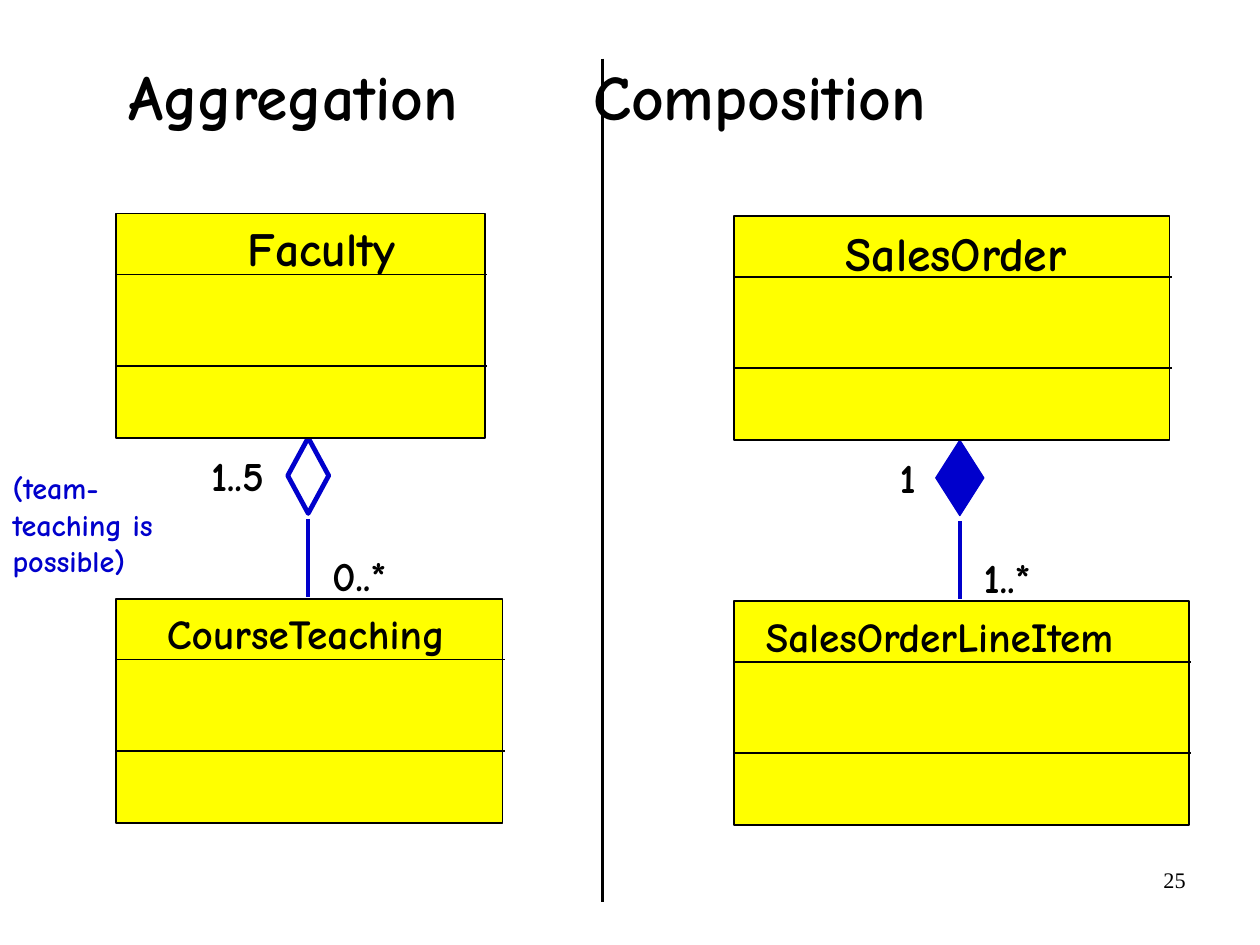
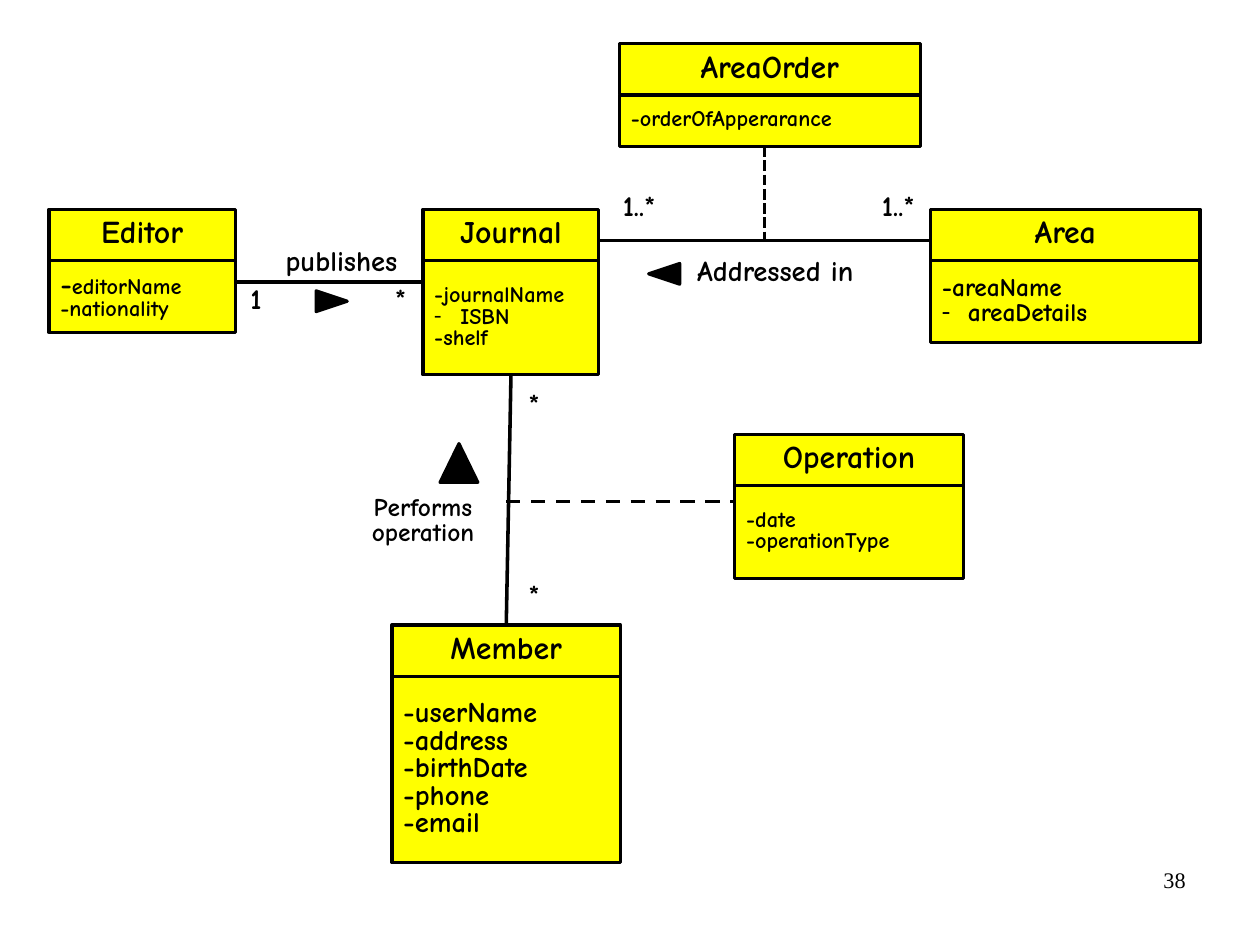
import lxml.etree
import pptx
import pptx.dml.color
import pptx.enum.dml
import pptx.enum.shapes
import pptx.enum.text
import pptx.oxml.ns
import pptx.util

Cm = pptx.util.Cm
Pt = pptx.util.Pt
ALIGN = pptx.enum.text.PP_ALIGN
ANCHOR = pptx.enum.text.MSO_ANCHOR
SHAPE = pptx.enum.shapes.MSO_SHAPE
DASH = pptx.enum.dml.MSO_LINE

BLACK, YELLOW, BLUE = "000000", "FFFF00", "0000CC"
HAND_FONT, NUMBER_FONT = "Comic Neue", "Times New Roman"
HEADER_HEIGHT = 1.14
BULLET_INDENT = 0.58


def color(hex_text):
    return pptx.dml.color.RGBColor.from_string(hex_text)


def add_xml(parent, tag, **attributes):
    return lxml.etree.SubElement(parent, pptx.oxml.ns.qn(tag), **attributes)


def add_dash_bullet(paragraph):
    properties = paragraph._p.get_or_add_pPr()
    properties.set("marL", str(Cm(BULLET_INDENT)))
    properties.set("indent", str(-Cm(BULLET_INDENT)))
    add_xml(properties, "a:buFont", typeface=NUMBER_FONT)
    add_xml(properties, "a:buChar", char="-")


def add_tab_stop(paragraph, position):
    tabs = add_xml(paragraph._p.get_or_add_pPr(), "a:tabLst")
    add_xml(tabs, "a:tab", pos=str(Cm(position)), algn="l")


def write(shape, lines, size, align=ALIGN.LEFT, anchor=ANCHOR.TOP, spacing=None,
          font=HAND_FONT, ink=BLACK, bold=True, tab=None):
    frame = shape.text_frame
    frame.word_wrap = True
    frame.vertical_anchor = anchor
    frame.margin_left = frame.margin_right = Cm(0.25)
    frame.margin_top = frame.margin_bottom = Cm(0.13)
    for index, line in enumerate(lines):
        paragraph = frame.add_paragraph() if index else frame.paragraphs[0]
        if line.startswith("- "):
            add_dash_bullet(paragraph)
        if tab:
            add_tab_stop(paragraph, tab)
        paragraph.text = line.removeprefix("- ")
        paragraph.alignment = align
        if spacing:
            paragraph.line_spacing = spacing
        paragraph.font.name = font
        paragraph.font.size = Pt(size)
        paragraph.font.bold = bold
        paragraph.font.color.rgb = color(ink)
    return frame


def add_text(slide, box, lines, size, **style):
    return write(slide.shapes.add_textbox(*map(Cm, box)), lines, size, **style)


def add_outline(slide, kind, box, fill, line, width, rotation=0):
    shape = slide.shapes.add_shape(kind, *map(Cm, box))
    shape.shadow.inherit = False
    shape.rotation = rotation
    if fill:
        shape.fill.solid()
        shape.fill.fore_color.rgb = color(fill)
    else:
        shape.fill.background()
    shape.line.color.rgb = color(line)
    shape.line.width = Pt(width)
    return shape


def add_line(slide, start, end, ink=BLACK, width=2.25, dash=None):
    connector = slide.shapes.add_connector(
        pptx.enum.shapes.MSO_CONNECTOR.STRAIGHT, *map(Cm, (*start, *end)))
    connector.line.color.rgb = color(ink)
    connector.line.width = Pt(width)
    if dash:
        connector.line.dash_style = dash
    add_xml(connector._element.spPr, "a:effectLst")
    return connector


def add_slide(presentation, number):
    slide = presentation.slides.add_slide(presentation.slide_layouts[6])
    add_text(slide, (20.07, 19.13, 6.53, 1.45), [number], 14,
             align=ALIGN.RIGHT, font=NUMBER_FONT, bold=False)
    return slide


def add_empty_class(slide, left, top, width, name, size, name_offset):
    add_outline(slide, SHAPE.RECTANGLE, (left, top, width, 4.98), YELLOW, BLACK, 1)
    shift_x, shift_y = name_offset
    add_text(slide, (left + shift_x, top + shift_y, width - shift_x, 1.4), [name], size)
    for divider in (1.35, 3.38):
        add_line(slide, (left, top + divider), (left + width + 0.05, top + divider), width=1)


def add_ownership(slide, left, top, whole, part, diamond):
    center, diamond_width, fill, line_width = diamond
    whole_width, whole_name, whole_offset, whole_count = whole
    part_width, part_name, part_offset, part_count = part
    center += left
    add_outline(slide, SHAPE.FLOWCHART_DECISION,
                (center - diamond_width / 2, top + 4.98, diamond_width, 1.68),
                fill, BLUE, line_width)
    add_line(slide, (center, top + 6.78), (center, top + 8.51), BLUE)
    add_text(slide, (center - 3.23, top + 5.13, 2.5, 1.37), [whole_count], 26,
             align=ALIGN.RIGHT)
    add_text(slide, (center + 0.28, top + 7.34, 2.5, 1.37), [part_count], 26)
    add_empty_class(slide, left, top, whole_width, whole_name, 30, whole_offset)
    add_empty_class(slide, left, top + 8.56, part_width, part_name, 26, part_offset)


def add_class(slide, left, top, width, body_height, name, attributes, size):
    header = add_outline(slide, SHAPE.RECTANGLE, (left, top, width, HEADER_HEIGHT),
                         YELLOW, BLACK, 2)
    write(header, [name], 20, ALIGN.CENTER, ANCHOR.MIDDLE, 0.8)
    body = add_outline(slide, SHAPE.RECTANGLE,
                       (left, top + HEADER_HEIGHT, width, body_height), YELLOW, BLACK, 2)
    write(body, attributes, size, ALIGN.LEFT, ANCHOR.MIDDLE, 0.8)
    return header, body


def enlarge_dash(paragraph, size):
    run = paragraph.runs[0]
    rest = run.text[1:]
    run.text = "-"
    run.font.size = Pt(size)
    paragraph.add_run().text = rest


def build_ownership_slide(presentation):
    slide = add_slide(presentation, "25")
    add_text(slide, (2.6, 0.36, 23.6, 3.5), ["Aggregation\tComposition"], 40,
             anchor=ANCHOR.MIDDLE, tab=10.33)
    add_ownership(slide, 2.58, 4.75,
                  (8.2, "Faculty", (2.67, -0.01), "1..5"),
                  (8.59, "CourseTeaching", (0.88, 0.07), "0..*"),
                  (4.27, 0.91, None, 3))
    add_ownership(slide, 16.31, 4.8,
                  (9.68, "SalesOrder", (2.24, 0.05), "1"),
                  (10.11, "SalesOrderLineItem", (0.46, 0.1), "1..*"),
                  (5.02, 1.07, BLUE, 0.75))
    add_line(slide, (13.39, 1.3), (13.39, 20.04))
    add_text(slide, (0.03, 10.31, 4.5, 2.69), ["(team-teaching is possible)"], 19, ink=BLUE)


def build_journal_slide(presentation):
    slide = add_slide(presentation, "38")
    classes = {}
    for left, top, width, body_height, name, attributes, size in (
        (1.09, 4.65, 4.14, 1.6, "Editor", ["-editorName", "-nationality"], 14),
        (9.4, 4.65, 3.91, 2.54, "Journal", ["-journalName", "- ISBN", "-shelf"], 14),
        (16.33, 9.65, 5.08, 2.06, "Operation", ["-date", "-operationType"], 14),
        (20.68, 4.65, 5.99, 1.83, "Area", ["-areaName", "- areaDetails"], 16),
        (8.71, 13.89, 5.08, 4.14, "Member",
         ["-userName", "-address", "-birthDate", "-phone", "-email"], 18),
        (13.77, 0.97, 6.68, 1.14, "AreaOrder", ["-orderOfApperarance"], 14),
    ):
        classes[name] = add_class(slide, left, top, width, body_height,
                                  name, attributes, size)
    enlarge_dash(classes["Editor"][1].text_frame.paragraphs[0], 18)

    add_line(slide, (5.23, 6.27), (9.4, 6.27))
    add_line(slide, (13.31, 5.35), (20.68, 5.35))
    add_line(slide, (11.25, 11.14), (16.33, 11.14), dash=DASH.DASH)
    add_line(slide, (16.99, 3.25), (16.99, 5.35), dash=DASH.SQUARE_DOT)
    performs = add_line(slide, (11.25, 13.89), (11.35, 8.33))
    performs.begin_connect(classes["Member"][0], 0)
    performs.end_connect(classes["Journal"][1], 2)

    for box, rotation in (
        ((7.14, 6.35, 0.46, 0.69), 90),
        ((14.53, 5.74, 0.46, 0.69), 270),
        ((9.78, 9.86, 0.84, 0.86), 0),
    ):
        add_outline(slide, SHAPE.ISOSCELES_TRIANGLE, box, BLACK, BLACK, 2, rotation)

    label_width = 4
    for center, top, lines, size in (
        (7.59, 5.41, ["publishes"], 18),
        (5.69, 6.27, ["1"], 18),
        (8.9, 6.27, ["*"], 18),
        (11.87, 8.59, ["*"], 18),
        (11.87, 12.83, ["*"], 18),
        (9.4, 10.92, ["Performs", "operation"], 16),
        (17.23, 5.64, ["Addressed in"], 18),
        (14.2, 4.19, ["1..*"], 18),
        (19.96, 4.19, ["1..*"], 18),
    ):
        add_text(slide, (center - label_width / 2, top, label_width, 0.86 * len(lines)),
                 lines, size, align=ALIGN.CENTER, spacing=0.8)


def main():
    presentation = pptx.Presentation()
    presentation.slide_width = Cm(28)
    presentation.slide_height = Cm(21)
    build_ownership_slide(presentation)
    build_journal_slide(presentation)
    presentation.save("out.pptx")


if __name__ == "__main__":
    main()
